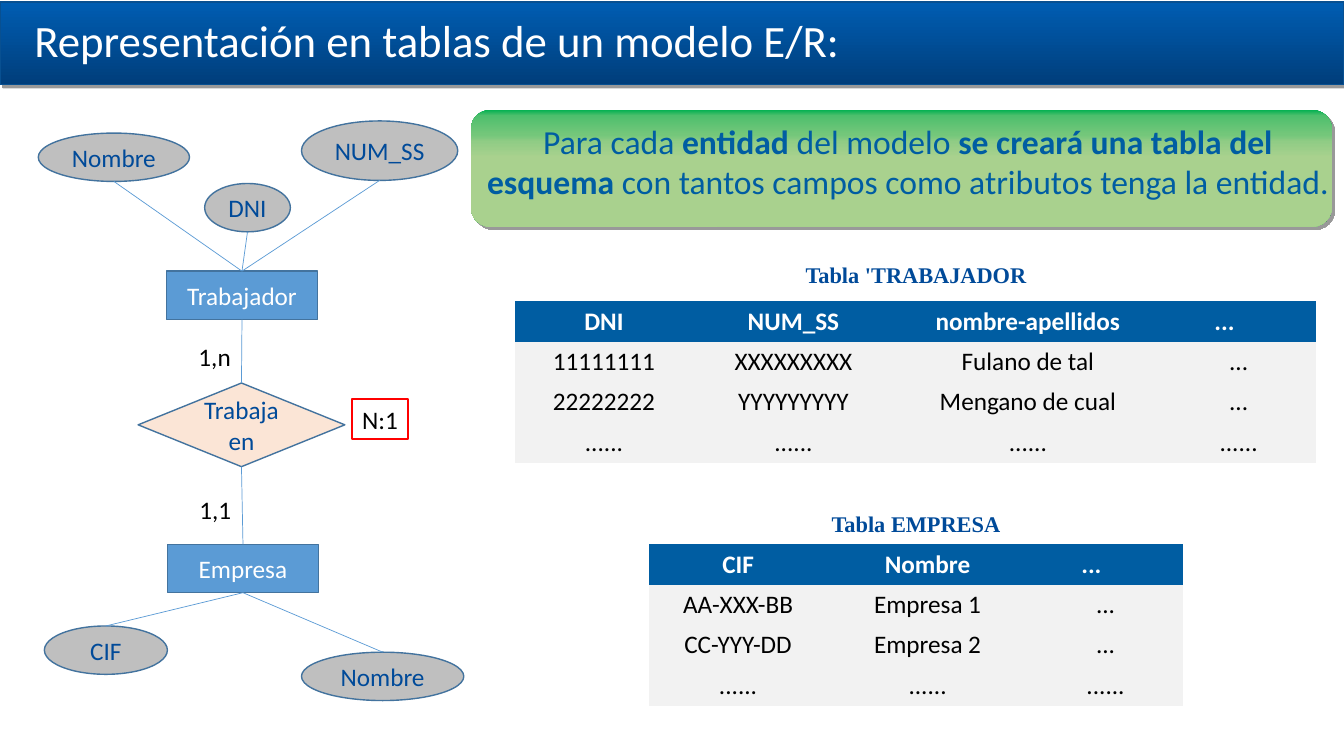
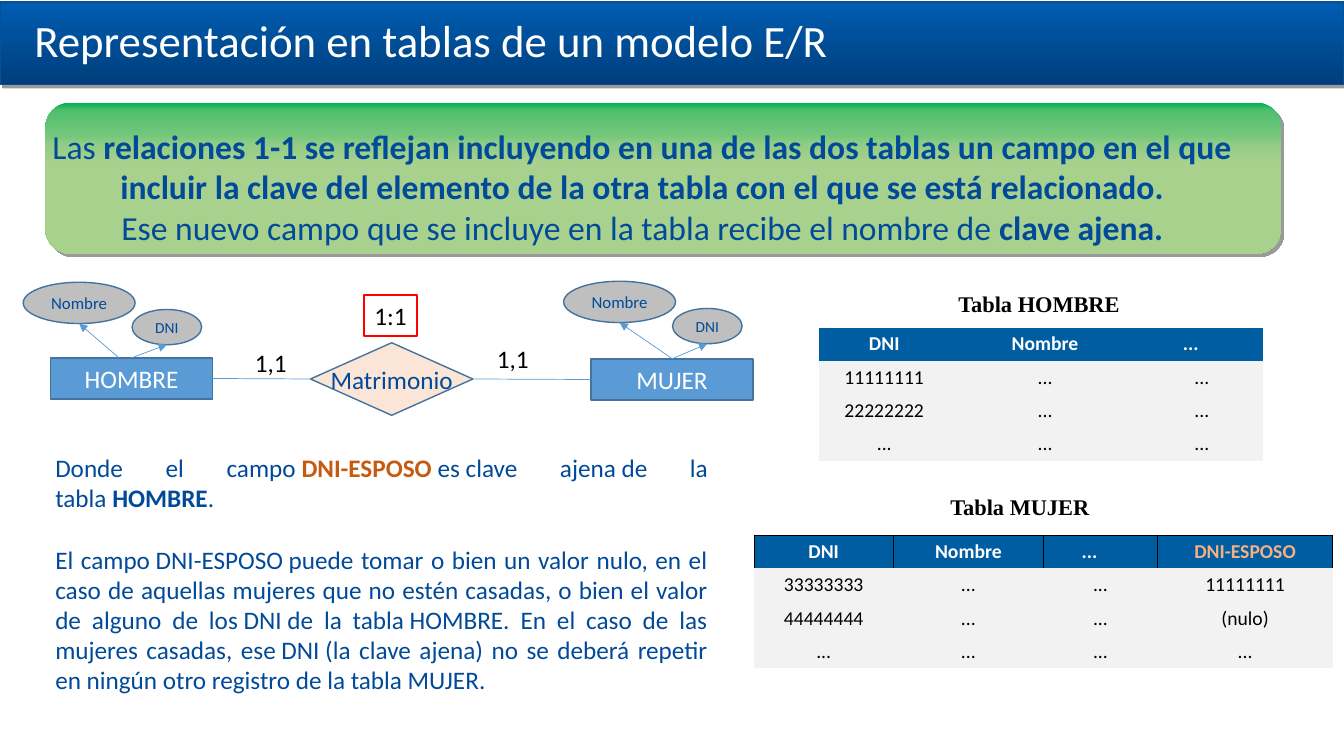
import pptx
import pptx.dml.color
import pptx.enum.shapes
import pptx.enum.text
import pptx.oxml
import pptx.oxml.ns
import pptx.util

Inches = pptx.util.Inches
Kind = pptx.enum.shapes.MSO_SHAPE
Align = pptx.enum.text.PP_ALIGN
Anchor = pptx.enum.text.MSO_ANCHOR

COLORS = {
    "white": "FFFFFF", "black": "000000", "red": "FF0000",
    "navy": "004A99", "blue": "005DA2", "edge": "43739E", "rim": "085091",
    "sky": "5B9BD5", "gray": "BFBFBF", "pale": "F2F2F2",
    "cream": "FBE5D6", "rust": "C55A11", "peach": "F4B183",
}
BAND = [(0, "005DB2"), (100, "003E7B")]
GREEN = [(0, "00B050"), (5, "4EBF6D"), (22, "75C77B"), (27, "90CC85"), (41, "A9D18E")]
PLAIN = "{2D5ABB26-0587-4C30-8999-92F81FD0307C}"


def rgb(name):
    return pptx.dml.color.RGBColor.from_string(COLORS[name])


def xml(tag, inner="", **attrs):
    """Make one DrawingML element."""
    pairs = "".join(f' {key}="{val}"' for key, val in attrs.items())
    return pptx.oxml.parse_xml(
        f'<a:{tag} {pptx.oxml.ns.nsdecls("a")}{pairs}>{inner}</a:{tag}>')


def write(frame, text, size=18, color="navy", font="Calibri", bold=False,
          align=Align.CENTER, anchor=Anchor.TOP, wrap=True, gap=0, hot=None):
    """Fill a frame: * toggles bold, ~ ties words, hot is a bold part in rust."""
    frame.word_wrap = wrap
    frame.auto_size = pptx.enum.text.MSO_AUTO_SIZE.NONE
    frame.vertical_anchor = anchor
    for row, line in enumerate(text.replace("~", chr(160)).split("\n")):
        para = frame.add_paragraph() if row else frame.paragraphs[0]
        para.alignment = align
        para.space_before = pptx.util.Pt(gap if row else 0)
        for num, part in enumerate(line.split("*")):
            if part:
                run = para.add_run()
                run.text = part
                run.font.name = font
                run.font.size = pptx.util.Pt(size)
                run.font.bold = bold or num % 2 == 1
                run.font.color.rgb = rgb("rust" if part == hot else color)


def top(node):
    return (node.left + node.width // 2) / Inches(1), node.top / Inches(1)


def base(node):
    x, y = top(node)
    return x, y + node.height / Inches(1)


def side(node, right):
    x = node.left + (node.width if right else 0)
    return x / Inches(1), (node.top + node.height // 2) / Inches(1)


def place(item, x, y, w, h):
    item.left, item.top, item.width, item.height = map(Inches, (x, y, w, h))


class Deck:
    """Holds the style and the current slide."""

    def __init__(self):
        self.show = pptx.Presentation()
        self.show.slide_width = Inches(13.33)
        self.show.slide_height = Inches(7.5)
        self.layout = self.show.slide_layouts[1]
        place(self.layout.placeholders[0], 0.24, 0.08, 12.5, 0.64)
        self.slide = None

    def page(self, title):
        first = self.slide is None
        self.slide = self.show.slides.add_slide(self.layout)
        if first:
            self.band()
        write(self.slide.shapes.title.text_frame, title, size=32, color="white",
              align=Align.LEFT, wrap=False)

    def band(self):
        """Put the title band on the layout, behind the title."""
        bar = self.shape(Kind.RECTANGLE, 0, 0.02, 13.33, 0.82, line="rim")
        self.shade(bar, BAND)
        self.layout.shapes.element.insert(2, bar.element)

    def shape(self, kind, x, y, w, h, fill=None, line=None, width=1):
        item = self.slide.shapes.add_shape(kind, *map(Inches, (x, y, w, h)))
        item.shadow.inherit = False
        if fill:
            item.fill.solid()
            item.fill.fore_color.rgb = rgb(fill)
        else:
            item.fill.background()
        if line:
            item.line.color.rgb = rgb(line)
            item.line.width = pptx.util.Pt(width)
        else:
            item.line.fill.background()
        return item

    def shade(self, item, stops):
        """Give a shape a downward gradient and a hard shadow."""
        props = item.element.spPr
        marks = "".join(f'<a:gs pos="{pos * 1000}"><a:srgbClr val="{tone}"/></a:gs>'
                        for pos, tone in stops)
        grad = xml("gradFill", f'<a:gsLst>{marks}</a:gsLst><a:lin ang="5400000" scaled="0"/>')
        props.replace(props.find(pptx.oxml.ns.qn("a:noFill")), grad)
        props.find(pptx.oxml.ns.qn("a:effectLst")).append(xml(
            "outerShdw", '<a:srgbClr val="000000"><a:alpha val="40000"/></a:srgbClr>',
            blurRad=0, dist=pptx.util.Pt(3), dir=2700000, algn="tl", rotWithShape=0))

    def panel(self, box, area, text, color="navy"):
        """Set the body text in area over a green rounded box."""
        back = self.shape(Kind.ROUNDED_RECTANGLE, *box)
        self.shade(back, GREEN)
        self.slide.shapes.element.insert(2, back.element)
        body = self.slide.placeholders[1]
        place(body, *area)
        write(body.text_frame, text, size=24, color=color)
        for para in body.text_frame.paragraphs:
            props = para._p.get_or_add_pPr()
            props.set("marL", "0")
            props.set("indent", "0")
            props.append(xml("buNone"))

    def node(self, kind, text, x, y, w, h, fill, color="navy", **style):
        item = self.shape(kind, x, y, w, h, fill, "edge")
        write(item.text_frame, text, color=color, anchor=Anchor.MIDDLE, **style)
        return item

    def entity(self, text, *box):
        return self.node(Kind.RECTANGLE, text, *box, "sky", "white")

    def field(self, text, *box, size=18):
        return self.node(Kind.OVAL, text, *box, "gray", size=size)

    def bond(self, text, *box, wrap=True):
        return self.node(Kind.DIAMOND, text, *box, "cream", wrap=wrap)

    def text(self, text, x, y, w, h, **style):
        box = self.slide.shapes.add_textbox(*map(Inches, (x, y, w, h)))
        write(box.text_frame, text, **style)

    def count(self, text, x, y):
        self.text(text, x, y, 0.52, 0.4, color="black", align=Align.LEFT, wrap=False)

    def ratio(self, text, x, y, w):
        item = self.shape(Kind.RECTANGLE, x, y, w, 0.4, line="red", width=1.5)
        write(item.text_frame, text, color="black", wrap=False)

    def head(self, text, x, y, color):
        self.text(text, x, y, 2.87, 0.37, size=16, color=color, bold=True,
                  font="Times New Roman", anchor=Anchor.MIDDLE)

    def link(self, start, end, arrow=False):
        line = self.slide.shapes.add_connector(
            pptx.enum.shapes.MSO_CONNECTOR.STRAIGHT, *map(Inches, (*start, *end)))
        line.line.color.rgb = rgb("sky")
        line.line.width = pptx.util.Pt(0.5)
        props = line.element.spPr
        if arrow:
            props.find(pptx.oxml.ns.qn("a:ln")).append(xml("tailEnd", type="triangle"))
        props.append(xml("effectLst"))

    def table(self, x, y, cols, rows, size=18, high=0.4, frame=False):
        item = self.slide.shapes.add_table(
            len(rows), len(cols), *map(Inches, (x, y, sum(cols), high * len(rows))))
        grid = item.table
        grid.first_row = grid.horz_banding = False
        item.element.xpath(".//a:tableStyleId")[0].text = PLAIN
        for col, wide in zip(grid.columns, cols):
            col.width = Inches(wide)
        for r, row in enumerate(rows):
            grid.rows[r].height = Inches(high)
            for c, text in enumerate(row):
                self.cell(grid.cell(r, c), text, size, r == 0, frame)

    def cell(self, cell, text, size, top, frame):
        cell.margin_top = cell.margin_bottom = 0
        cell.fill.solid()
        cell.fill.fore_color.rgb = rgb("blue" if top else "pale")
        color = "white" if top else "black"
        if top and text == "...":
            cell.margin_right = Inches(0.1 + size / 64)
        if text == "DNI-ESPOSO":
            color = "peach"
        para = cell.text_frame
        write(para, text, size=size, color=color, bold=top)
        cell.vertical_anchor = Anchor.MIDDLE
        if top and frame:
            props = cell._tc.get_or_add_tcPr()
            for num, edge in enumerate(("lnL", "lnR", "lnT")):
                props.insert(num, xml(
                    edge, '<a:solidFill><a:srgbClr val="000000"/></a:solidFill>', w=12700))


def entities(deck):
    deck.page("Representación en tablas de un modelo E/R:")
    deck.panel((4.67, 1.09, 8.54, 1.16), (4.67, 1.15, 8.67, 0.91),
               "Para cada *entidad* del modelo *se creará una tabla del esquema *"
               "con tantos campos como atributos tenga la entidad.", color="blue")

    worker = deck.entity("Trabajador", 1.65, 2.69, 1.5, 0.48)
    firm = deck.entity("Empresa", 1.66, 5.4, 1.5, 0.48)
    job = deck.bond("Trabaja en", 1.37, 3.8, 2.05, 0.83)
    for text, *box in (("Nombre", 0.38, 1.32, 1.5, 0.48), ("DNI", 2.03, 1.82, 0.85, 0.48),
                       ("NUM_SS", 2.99, 1.2, 1.55, 0.59)):
        deck.link(top(worker), base(deck.field(text, *box)))
    for text, *box in (("CIF", 0.44, 6.21, 1.22, 0.48), ("Nombre", 2.99, 6.47, 1.61, 0.48)):
        deck.link(base(firm), top(deck.field(text, *box)))
    deck.link(base(worker), top(job))
    deck.link(base(job), top(firm))
    deck.count("1,n", 1.87, 3.34)
    deck.count("1,1", 1.88, 4.85)
    deck.ratio("N:1", 3.49, 3.96, 0.56)

    deck.head("Tabla 'TRABAJADOR", 7.65, 2.54, "navy")
    deck.table(5.11, 2.99, (1.76, 2, 2.65, 1.53), (
        ("DNI", "NUM_SS", "nombre-apellidos", "..."),
        ("11111111", "XXXXXXXXX", "Fulano de tal", "..."),
        ("22222222", "YYYYYYYYY", "Mengano de cual", "..."),
        ("......",) * 4))
    deck.head("Tabla EMPRESA", 7.65, 5.01, "navy")
    deck.table(6.44, 5.4, (1.76, 2, 1.53), (
        ("CIF", "Nombre", "..."),
        ("AA-XXX-BB", "Empresa 1", "..."),
        ("CC-YYY-DD", "Empresa 2", "..."),
        ("......",) * 3))


def couples(deck):
    deck.page("Representación en tablas de un modelo E/R")
    deck.panel((0.45, 1.02, 12.26, 1.5), (0.24, 1.2, 12.26, 1.31),
               "Las *relaciones~1-1~se reflejan incluyendo en una de las dos tablas un campo "
               "en el que incluir la~clave~del elemento de la otra tabla con el que se está "
               "relacionado.*\nEse nuevo campo que se incluye en la tabla recibe el nombre "
               "de*~clave ajena.*")

    pair = []
    for name, x, y, high, start in (("HOMBRE", 0.5, 3.55, 2.8, 1.18),
                                    ("MUJER", 5.86, 3.56, 2.79, 6.67)):
        person = deck.entity(name, x, y, 1.61, 0.41)
        label = deck.field("Nombre", x - 0.27, high, 1.11, 0.41, size=12)
        key = deck.field("DNI", x + 0.81, high + 0.27, 0.69, 0.35, size=11)
        deck.link((start, y), base(label), arrow=True)
        deck.link(top(person), base(key), arrow=True)
        pair.append(person)
    union = deck.bond("Matrimonio", 3.08, 3.4, 1.61, 0.72, wrap=False)
    deck.link(side(pair[0], True), side(union, False))
    deck.link(side(union, True), side(pair[1], False))
    deck.count("1,1", 2.43, 3.4)
    deck.count("1,1", 4.83, 3.36)
    deck.ratio("1:1", 3.61, 2.93, 0.53)

    deck.text("Donde el campo~*DNI-ESPOSO*~es~clave ajena~de la tabla~*HOMBRE*.\n"
              "El campo~DNI-ESPOSO~puede tomar o bien un valor nulo, en el caso de aquellas "
              "mujeres que no estén casadas, o bien el valor de alguno de los~DNI~de la "
              "tabla~HOMBRE. En el caso de las mujeres casadas, ese~DNI~(la clave ajena) no "
              "se deberá repetir en ningún otro registro de la tabla~MUJER.",
              0.45, 4.44, 6.67, 2.52, align=Align.JUSTIFY, gap=22, hot="DNI-ESPOSO")

    deck.head("Tabla HOMBRE", 8.87, 2.83, "black")
    deck.table(8.12, 3.25, (1.3, 1.89, 1.22), (
        ("DNI", "Nombre", "..."),
        ("11111111", "...", "..."),
        ("22222222", "...", "..."),
        ("...",) * 3), size=14, high=0.33)
    deck.head("Tabla MUJER", 8.68, 4.84, "black")
    deck.table(7.48, 5.31, (1.38, 1.49, 1.13, 1.74), (
        ("DNI", "Nombre", "...", "DNI-ESPOSO"),
        ("33333333", "...", "...", "11111111"),
        ("44444444", "...", "...", "(nulo)"),
        ("...",) * 4), size=14, high=0.33, frame=True)


def main():
    deck = Deck()
    entities(deck)
    couples(deck)
    deck.show.save("out.pptx")


if __name__ == "__main__":
    main()
